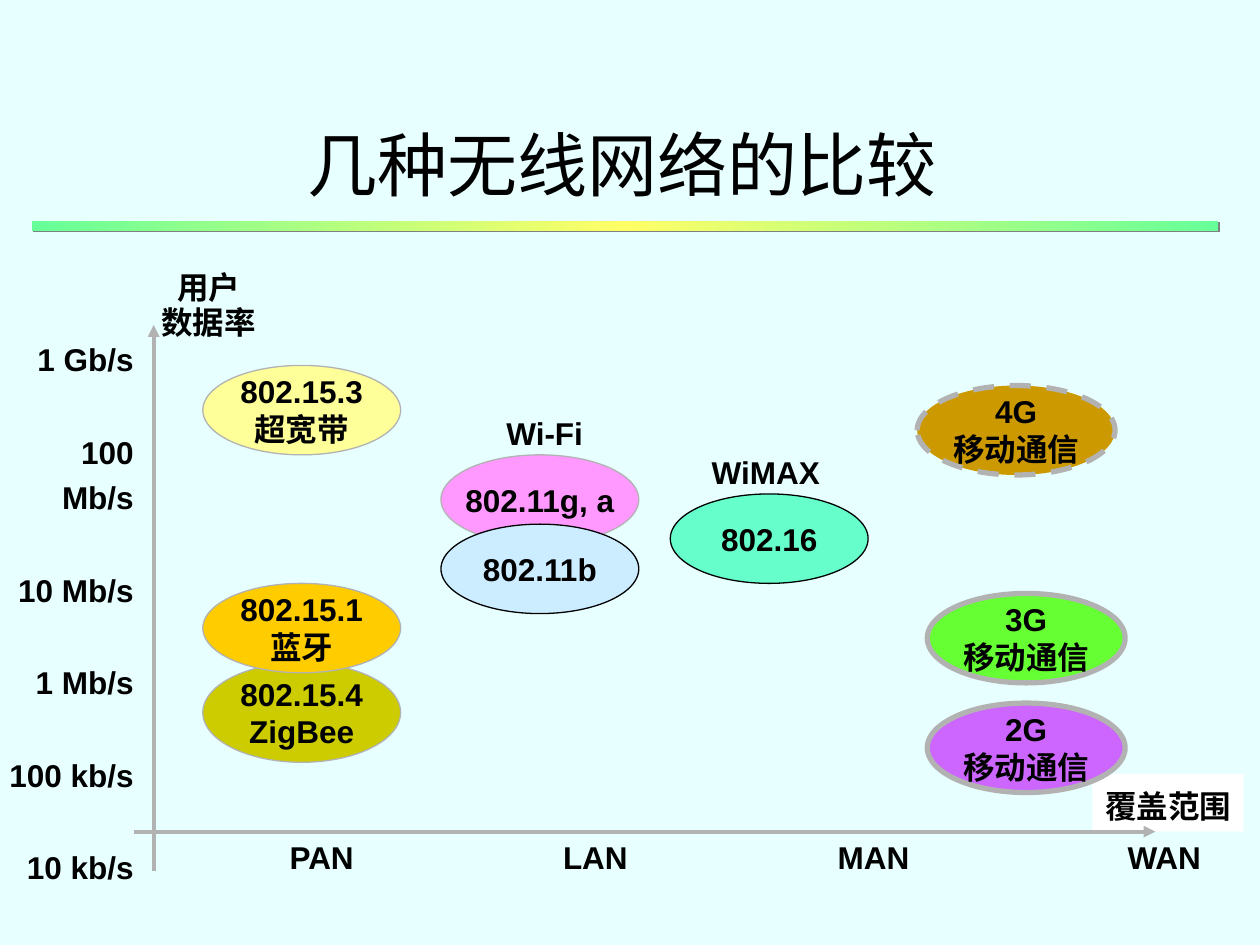
"""Build a slide comparing wireless networks by data rate and coverage."""
from copy import deepcopy

from lxml import etree
from pptx import Presentation
from pptx import util as u
from pptx.dml.color import RGBColor
from pptx.enum import dml, shapes, text
from pptx.oxml import ns

BLACK = RGBColor(0x00, 0x00, 0x00)
WHITE = RGBColor(0xFF, 0xFF, 0xFF)
GRAY = RGBColor(0xB2, 0xB2, 0xB2)
BACKGROUND = RGBColor(0xE7, 0xFF, 0xFF)
MINT = RGBColor(0x66, 0xFF, 0x99)
LEMON = RGBColor(0xFF, 0xFF, 0x66)
OLIVE = RGBColor(0xCC, 0xCC, 0x00)
AMBER = RGBColor(0xFF, 0xCC, 0x00)
CREAM = RGBColor(0xFF, 0xFF, 0x99)
PINK = RGBColor(0xFF, 0x99, 0xFF)
SKY = RGBColor(0xCC, 0xEC, 0xFF)
AQUA = RGBColor(0x66, 0xFF, 0xCC)
VIOLET = RGBColor(0xCC, 0x66, 0xFF)
GREEN = RGBColor(0x66, 0xFF, 0x33)
BRONZE = RGBColor(0xCC, 0x99, 0x00)

LEFT, CENTER, RIGHT = text.PP_ALIGN.LEFT, text.PP_ALIGN.CENTER, text.PP_ALIGN.RIGHT
PAN_LEFT, LAN_LEFT, MAN_LEFT, WAN_LEFT = 1.61, 3.5, 5.32, 7.36
NETWORKS = [
    ("802.15.4\nZigBee", PAN_LEFT, 5.26, 0.79, OLIVE, GRAY, 0.75),
    ("802.15.1\n蓝牙", PAN_LEFT, 4.63, 0.71, AMBER, GRAY, 0.75),
    ("802.15.3\n超宽带", PAN_LEFT, 2.9, 0.71, CREAM, GRAY, 0.75),
    ("802.11g, a", LAN_LEFT, 3.61, 0.71, PINK, GRAY, 0.75),
    ("802.11b", LAN_LEFT, 4.16, 0.71, SKY, BLACK, 0.75),
    ("802.16", MAN_LEFT, 3.92, 0.71, AQUA, BLACK, 0.75),
    ("2G\n移动通信", WAN_LEFT, 5.58, 0.71, VIOLET, GRAY, 3),
    ("3G\n移动通信", WAN_LEFT, 4.71, 0.71, GREEN, GRAY, 3),
]
RATES = "1 Gb/s\n100 Mb/s\n10 Mb/s\n1 Mb/s\n100 kb/s\n10 kb/s"


def inches(*lengths):
    """Convert several lengths to Inches."""
    return [u.Inches(length) for length in lengths]


def write(frame, words, align, spacing=1.0, size=18, font="Arial", bold=True):
    """Put words in a frame and format every paragraph and run."""
    frame.text = words
    for paragraph in frame.paragraphs:
        paragraph.alignment = align
        paragraph.line_spacing = spacing
        for span in paragraph.runs:
            span.font.size = u.Pt(size)
            span.font.name = font
            span.font.bold = bold
            span.font.color.rgb = BLACK


def add_title(page, words):
    """Place and fill the title placeholder."""
    title = page.shapes.title
    title.left, title.top, title.width, title.height = inches(0.75, 0.67, 8.5, 1.25)
    title.text_frame.vertical_anchor = text.MSO_ANCHOR.MIDDLE
    write(title.text_frame, words, CENTER, size=40, font="Times New Roman", bold=False)


def add_label(page, words, place, align=LEFT):
    """Add a bold text box and return it."""
    box = page.shapes.add_textbox(*inches(*place))
    box.text_frame.word_wrap = False
    write(box.text_frame, words, align, spacing=1.2)
    return box


def add_network(page, words, left, top, height, fill, edge, weight):
    """Add a labelled ellipse for one network and return it."""
    oval = page.shapes.add_shape(shapes.MSO_SHAPE.OVAL, *inches(left, top, 1.57, height))
    oval.shadow.inherit = False
    oval.fill.solid()
    oval.fill.fore_color.rgb = fill
    oval.line.color.rgb = edge
    oval.line.width = u.Pt(weight)
    frame = oval.text_frame
    frame.word_wrap = False
    frame.vertical_anchor = text.MSO_ANCHOR.MIDDLE
    frame.margin_left = frame.margin_right = u.Inches(0.1)
    write(frame, words, CENTER)
    return oval


def add_axis(page, *ends):
    """Add an axis line with an arrowhead at its far end."""
    axis = page.shapes.add_connector(shapes.MSO_CONNECTOR.STRAIGHT, *inches(*ends))
    axis.line.color.rgb = GRAY
    axis.line.width = u.Pt(2.25)
    etree.SubElement(axis.line._get_or_add_ln(), ns.qn("a:tailEnd"), type="triangle")
    etree.SubElement(axis._element.spPr, ns.qn("a:effectLst"))


def add_coverage_labels(page):
    """Add the coverage names along the horizontal axis, spaced by tab stops."""
    box = add_label(page, "PAN\tLAN\tMAN\tWAN", (2.2, 6.54, 7.48, 0.46))
    properties = box.text_frame.paragraphs[0]._p.get_or_add_pPr()
    tabs = etree.SubElement(properties, ns.qn("a:tabLst"))
    for stop in (2.17, 4.35, 6.65):
        etree.SubElement(tabs, ns.qn("a:tab"), pos=str(u.Inches(stop)), algn="l")


def add_title_bar(page):
    """Add the shaded bar with a hard shadow below the title."""
    bar = page.shapes.add_shape(shapes.MSO_SHAPE.RECTANGLE, *inches(0.25, 1.75, 9.42, 0.08))
    bar.line.fill.background()
    bar.fill.gradient()
    bar.fill.gradient_angle = 0
    edge, middle = bar.fill.gradient_stops
    edge.color.rgb, middle.color.rgb = MINT, LEMON
    edge.position, middle.position = 0, 0.5
    stops = bar._element.spPr.find(".//" + ns.qn("a:gsLst"))
    last = deepcopy(stops[0])
    last.set("pos", "100000")
    stops.append(last)
    bar.shadow.inherit = False
    effects = bar._element.spPr.find(ns.qn("a:effectLst"))
    shadow = etree.SubElement(effects, ns.qn("a:outerShdw"), dist=str(u.Pt(1.4)), dir="2700000")
    etree.SubElement(shadow, ns.qn("a:srgbClr"), val="808080")


def main():
    """Build and save the deck."""
    deck = Presentation()
    deck.slide_width, deck.slide_height = inches(10, 7.5)
    page = deck.slides.add_slide(deck.slide_layouts[5])
    page.background.fill.solid()
    page.background.fill.fore_color.rgb = BACKGROUND

    coverage = add_label(page, "覆盖范围", (8.67, 6.14, 1.2, 0.46), RIGHT)
    coverage.fill.solid()
    coverage.fill.fore_color.rgb = WHITE
    add_title(page, "几种无线网络的比较 ")
    rates = add_label(page, RATES, (-0.09, 2.59, 1.25, 4.1), RIGHT)
    for paragraph in rates.text_frame.paragraphs[1:]:
        paragraph.space_before = u.Pt(27)
    add_axis(page, 1.06, 6.6, 9.17, 6.6)
    add_axis(page, 1.22, 6.91, 1.22, 2.58)
    heading = add_label(page, "用户\n数据率", (1.18, 2.02, 0.95, 0.75), CENTER)
    heading.text_frame.paragraphs[1].line_spacing = 0.95
    add_coverage_labels(page)

    for network in NETWORKS:
        add_network(page, *network)
    future = add_network(page, "4G\n移动通信", 7.28, 3.06, 0.71, BRONZE, GRAY, 3)
    future.line.dash_style = dml.MSO_LINE.DASH
    add_label(page, "Wi-Fi", (3.92, 3.18, 0.81, 0.46))
    add_label(page, "WiMAX", (5.55, 3.49, 1.06, 0.46))
    add_title_bar(page)
    deck.save("out.pptx")


if __name__ == "__main__":
    main()
